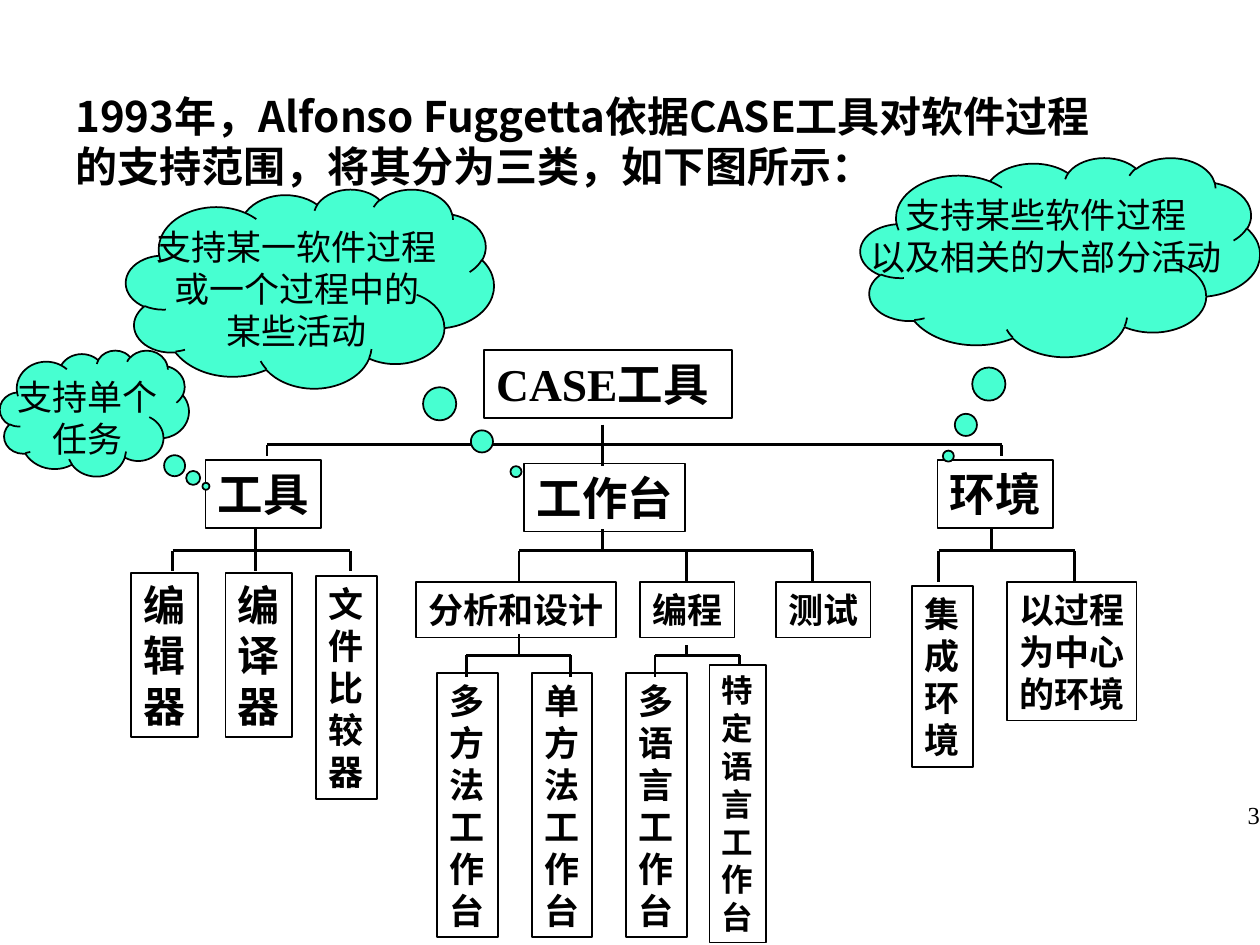
from lxml import etree
from pptx import Presentation
from pptx.dml.color import RGBColor
from pptx.enum import shapes, text
from pptx.oxml import ns
from pptx.util import Inches, Pt

COLORS = {"ink": "000000", "cloud": "47FFD1"}
SERIF, SANS, ROUND = "Times New Roman", "Noto Sans CJK SC", "Karla"


def color(name):
    return RGBColor.from_string(COLORS[name])


def write(shape, lines, size, font, bold=False, align=None, wrap=False):
    frame = shape.text_frame
    frame.word_wrap = wrap
    frame.auto_size = text.MSO_AUTO_SIZE.NONE
    frame.vertical_anchor = text.MSO_ANCHOR.TOP
    for i, line in enumerate(lines):
        para = frame.paragraphs[0] if i == 0 else frame.add_paragraph()
        para.alignment = align or text.PP_ALIGN.LEFT
        run = para.add_run()
        run.text = line
        run.font.size = Pt(size)
        run.font.bold = bold
        run.font.color.rgb = color("ink")
        run.font.name = font
        east = etree.SubElement(run.font._element, ns.qn("a:ea"))
        east.set("typeface", SANS)
    return frame


def add_shape(slide, kind, box, fill=None):
    shape = slide.shapes.add_shape(kind, *map(Inches, box))
    shape.shadow.inherit = False
    if fill:
        shape.fill.solid()
        shape.fill.fore_color.rgb = color(fill)
    else:
        shape.fill.background()
    shape.line.color.rgb = color("ink")
    shape.line.width = Pt(1)
    return shape


def add_node(slide, box, lines, size):
    shape = add_shape(slide, shapes.MSO_SHAPE.RECTANGLE, box)
    write(shape, lines, size, SERIF, bold=True)


def add_line(slide, x1, y1, x2, y2):
    line = slide.shapes.add_connector(
        shapes.MSO_CONNECTOR.STRAIGHT, *map(Inches, (x1, y1, x2, y2)))
    line.line.color.rgb = color("ink")
    line.line.width = Pt(1.5)
    etree.SubElement(line._element.spPr, ns.qn("a:effectLst"))


def add_fork(slide, x, y, rise, drops):
    add_line(slide, x + drops[0][0], y, x + drops[-1][0], y)
    add_line(slide, x, y - rise, x, y)
    for dx, drop in drops:
        add_line(slide, x + dx, y, x + dx, y + drop)


def add_tree(slide, x, y, nodes, forks):
    for dx, dy, w, h, lines, size in nodes:
        add_node(slide, (x + dx, y + dy, w, h), lines, size)
    for dx, dy, rise, drops in forks:
        add_fork(slide, x + dx, y + dy, rise, drops)


def add_cloud(slide, box, tail, lines):
    shape = add_shape(slide, shapes.MSO_SHAPE.CLOUD_CALLOUT, box, "cloud")
    for i, value in enumerate(tail):
        shape.adjustments[i] = value
    write(shape, lines, 20, ROUND, align=text.PP_ALIGN.CENTER)


def add_title(slide, box, words):
    shape = slide.shapes.add_textbox(*map(Inches, box))
    write(shape, [words], 24, SANS, bold=True, wrap=True)


def add_number(slide, box, words):
    shape = slide.shapes.add_textbox(*map(Inches, box))
    frame = write(shape, [words], 14, SERIF, align=text.PP_ALIGN.RIGHT, wrap=True)
    frame.margin_left = frame.margin_right = 0


ROOT = [(0, 0, 1.97, 0.54, ["CASE工具"], 26)]
TOOLS = [
    (0.59, 0, 0.92, 0.54, ["工具"], 26),
    (0, 0.9, 0.53, 1.3, "编辑器", 24),
    (0.75, 0.9, 0.53, 1.3, "编译器", 24),
    (1.47, 0.92, 0.48, 1.77, "文件比较器", 20),
]
BENCH = [
    (0.86, 0, 1.28, 0.54, ["工作台"], 26),
    (0, 0.94, 1.59, 0.44, ["分析和设计"], 20),
    (1.78, 0.94, 0.75, 0.44, ["编程"], 20),
    (2.86, 0.94, 0.75, 0.44, ["测试"], 20),
    (0.17, 1.66, 0.48, 2.1, "多方法工作台", 20),
    (0.92, 1.66, 0.48, 2.1, "单方法工作台", 20),
    (1.67, 1.66, 0.48, 2.1, "多语言工作台", 20),
    (2.33, 1.6, 0.45, 2.2, "特定语言工作台", 18),
]
SCENE = [
    (0.2, 0, 0.92, 0.54, ["环境"], 26),
    (0, 1, 0.48, 1.44, "集成环境", 20),
    (0.75, 0.97, 1.03, 1.1, ["以过程", "为中心", "的环境"], 20),
]
TREES = [
    (3.84, 2.78, ROOT,
     [(0.94, 0.75, 0.16, [(-2.66, 0.09), (0, 0.17), (3.17, 0.09)])]),
    (1.04, 3.65, TOOLS,
     [(0.99, 0.72, 0.17, [(-0.66, 0.16), (0, 0.16), (0.75, 0.16)])]),
    (3.3, 3.68, BENCH,
     [(1.48, 0.69, 0.17, [(-0.66, 0.25), (0.67, 0.25), (1.67, 0.25)]),
      (0.82, 1.52, 0.17, [(-0.42, 0.17), (0.41, 0.17)]),
      (2.15, 1.52, 0.08, [(-0.25, 0.17), (0.42, 0.08)])]),
    (7.24, 3.65, SCENE,
     [(0.63, 0.72, 0.17, [(-0.42, 0.25), (0.66, 0.25)])]),
]
CLOUDS = [
    ((0, 2.78, 1.5, 1), (0.59, 0.58), ["支持单个", "任务"]),
    ((1, 1.5, 2.92, 1.58), (0.56, 0.92),
     ["支持某一软件过程", "或一个过程中的", "某些活动"]),
    ((6.83, 1.25, 3.17, 1.58), (-0.28, 1),
     ["支持某些软件过程", "以及相关的大部分活动"]),
]


def main():
    deck = Presentation()
    deck.slide_width, deck.slide_height = Inches(10), Inches(7.5)
    slide = deck.slides.add_slide(deck.slide_layouts[6])
    add_number(slide, (9.41, 6.3, 0.59, 0.33), "3")
    for tree in TREES:
        add_tree(slide, *tree)
    add_title(slide, (0.5, 0.67, 8.33, 0.9),
              "1993年，Alfonso Fuggetta依据CASE工具对软件过程的支持范围，将其分为三类，如下图所示：")
    for cloud in CLOUDS:
        add_cloud(slide, *cloud)
    deck.save("out.pptx")


if __name__ == "__main__":
    main()
